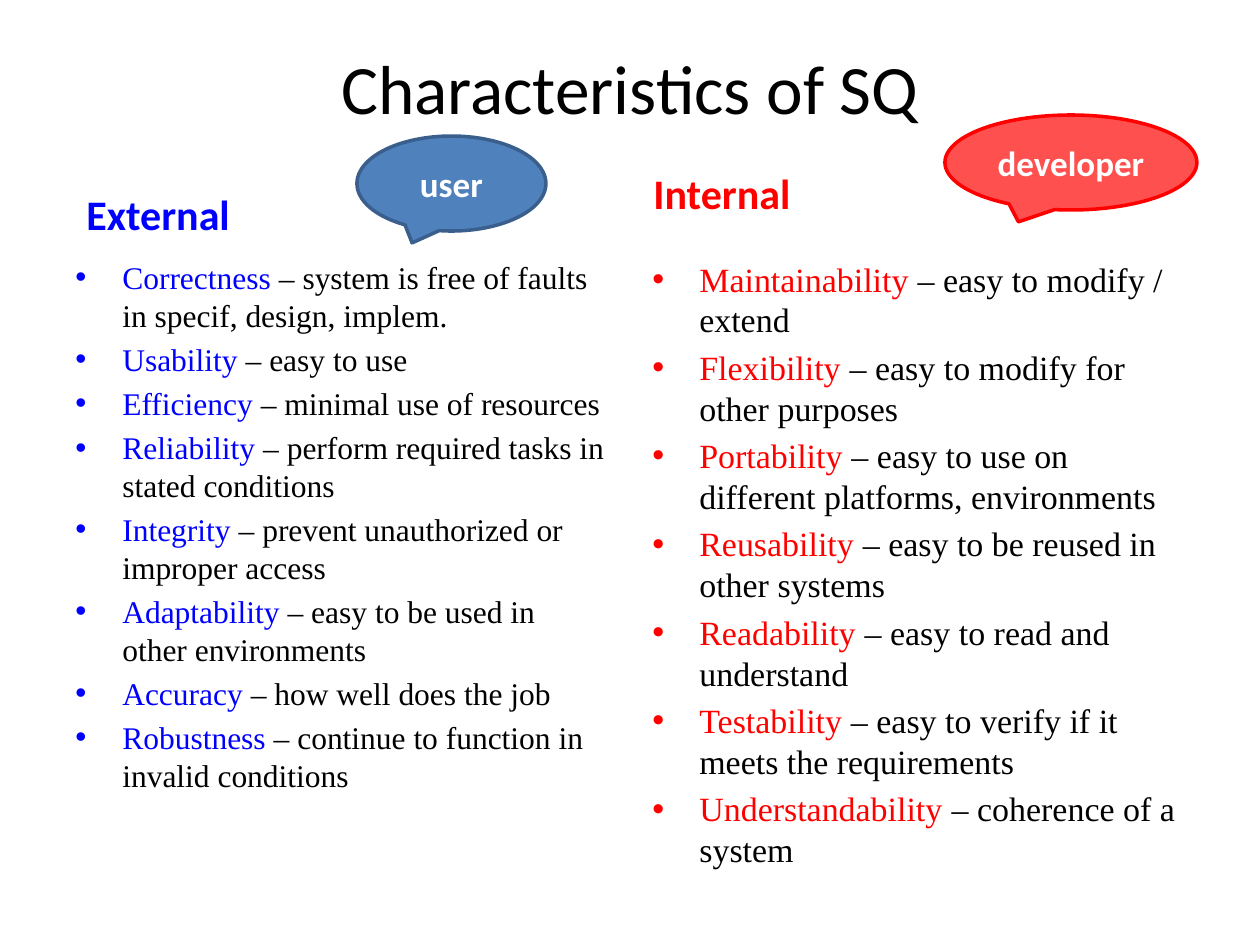
from pptx import Presentation
from pptx.dml.color import RGBColor
from pptx.enum.shapes import MSO_SHAPE
from pptx.enum.text import MSO_ANCHOR, PP_ALIGN
from pptx.oxml.ns import qn
from pptx.util import Pt
from lxml.etree import SubElement

SCALE = 914400 / 126
SANS, SERIF = "Calibri", "Times New Roman"
BLACK, WHITE, BLUE, RED = "000000", "FFFFFF", "0000FF", "FF0000"
INDENT = 47

TITLE = ("Characteristics of SQ", (63, 38, 1134, 98))
HEADS = [
    ("External", (74, 157, 557, 88), BLUE),
    ("Internal", (641, 136, 557, 88), RED),
]
LISTS = [
    ((63, 252, 557, 592), 18, BLUE, [
        ("Correctness", "system is free of faults in specif, design, implem."),
        ("Usability", "easy to use"),
        ("Efficiency", "minimal use of resources"),
        ("Reliability", "perform required tasks in stated conditions"),
        ("Integrity", "prevent unauthorized or improper access"),
        ("Adaptability", "easy to be used in other environments"),
        ("Accuracy", "how well does the job"),
        ("Robustness", "continue to function in invalid conditions"),
    ]),
    ((640, 252, 557, 592), 19.4, RED, [
        ("Maintainability", "easy to modify / extend"),
        ("Flexibility", "easy to modify for other purposes"),
        ("Portability", "easy to use on different platforms, environments"),
        ("Reusability", "easy to be reused in other systems"),
        ("Readability", "easy to read and understand"),
        ("Testability", "easy to verify if it meets the requirements"),
        ("Understandability", "coherence of a system"),
    ]),
]
BUBBLES = [
    ("user", (357, 136, 189, 95), "4F81BD", "3A5F8C"),
    ("developer", (945, 115, 252, 95), "FF5050", RED),
]


def px(n):
    return round(n * SCALE)


def color(code):
    return RGBColor.from_string(code)


def style(font, size, name, code=None, bold=False):
    font.size, font.name, font.bold = Pt(size), name, bold
    if code:
        font.color.rgb = color(code)


def add_box(place, anchor):
    frame = slide.shapes.add_textbox(*map(px, place)).text_frame
    frame.word_wrap = True
    frame.vertical_anchor = anchor
    return frame


def write(frame, text, size, code, bold=True, align=PP_ALIGN.CENTER):
    para = frame.paragraphs[0]
    para.text = text
    para.alignment = align
    style(para.font, size, SANS, code, bold)


def add_list(place, size, code, items):
    frame = add_box(place, MSO_ANCHOR.TOP)
    for i, (term, note) in enumerate(items):
        para = frame.paragraphs[0] if i == 0 else frame.add_paragraph()
        para.space_before = Pt(round(size * 0.2, 1))
        style(para.font, size, SERIF)
        for text, tint in ((term, code), (f" – {note}", BLACK)):
            run = para.add_run()
            run.text = text
            run.font.color.rgb = color(tint)
        props = para._p.get_or_add_pPr()
        props.set("marL", str(px(INDENT)))
        props.set("indent", str(-px(INDENT)))
        font = SubElement(props, qn("a:buFont"), typeface="Arial")
        font.addnext(SubElement(props, qn("a:buChar"), char="•"))
        props.append(props.find(qn("a:defRPr")))


def add_bubble(text, place, fill, line):
    shape = slide.shapes.add_shape(MSO_SHAPE.OVAL_CALLOUT, *map(px, place))
    shape.shadow.inherit = False
    shape.fill.solid()
    shape.fill.fore_color.rgb = color(fill)
    shape.line.color.rgb = color(line)
    shape.line.width = Pt(2)
    shape.text_frame.vertical_anchor = MSO_ANCHOR.MIDDLE
    write(shape.text_frame, text, 20, WHITE)


deck = Presentation()
deck.slide_width, deck.slide_height = px(1260), px(945)
slide = deck.slides.add_slide(deck.slide_layouts[6])

text, place = TITLE
write(add_box(place, MSO_ANCHOR.MIDDLE), text, 39.6, BLACK, bold=False)
for text, place, code in HEADS:
    write(add_box(place, MSO_ANCHOR.BOTTOM), text, 24, code, align=PP_ALIGN.LEFT)
for entry in LISTS:
    add_list(*entry)
for bubble in BUBBLES:
    add_bubble(*bubble)

deck.save("out.pptx")
